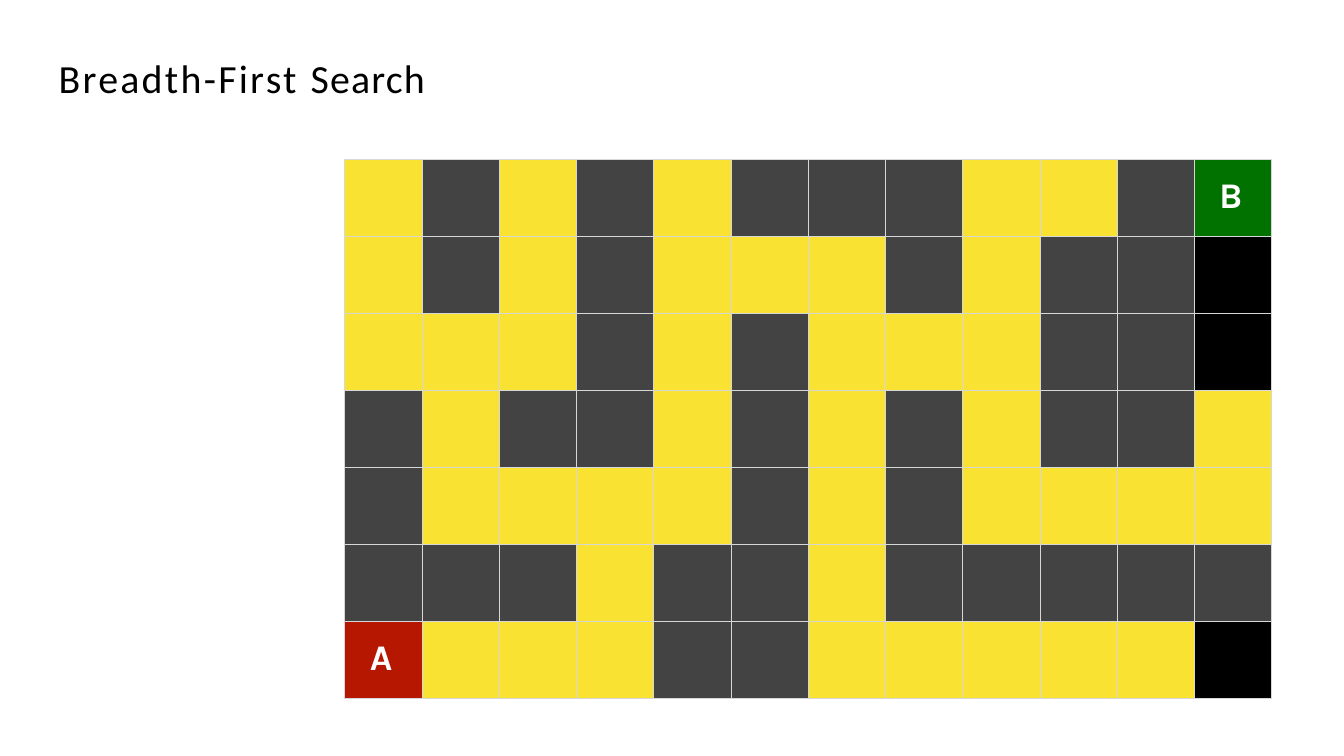
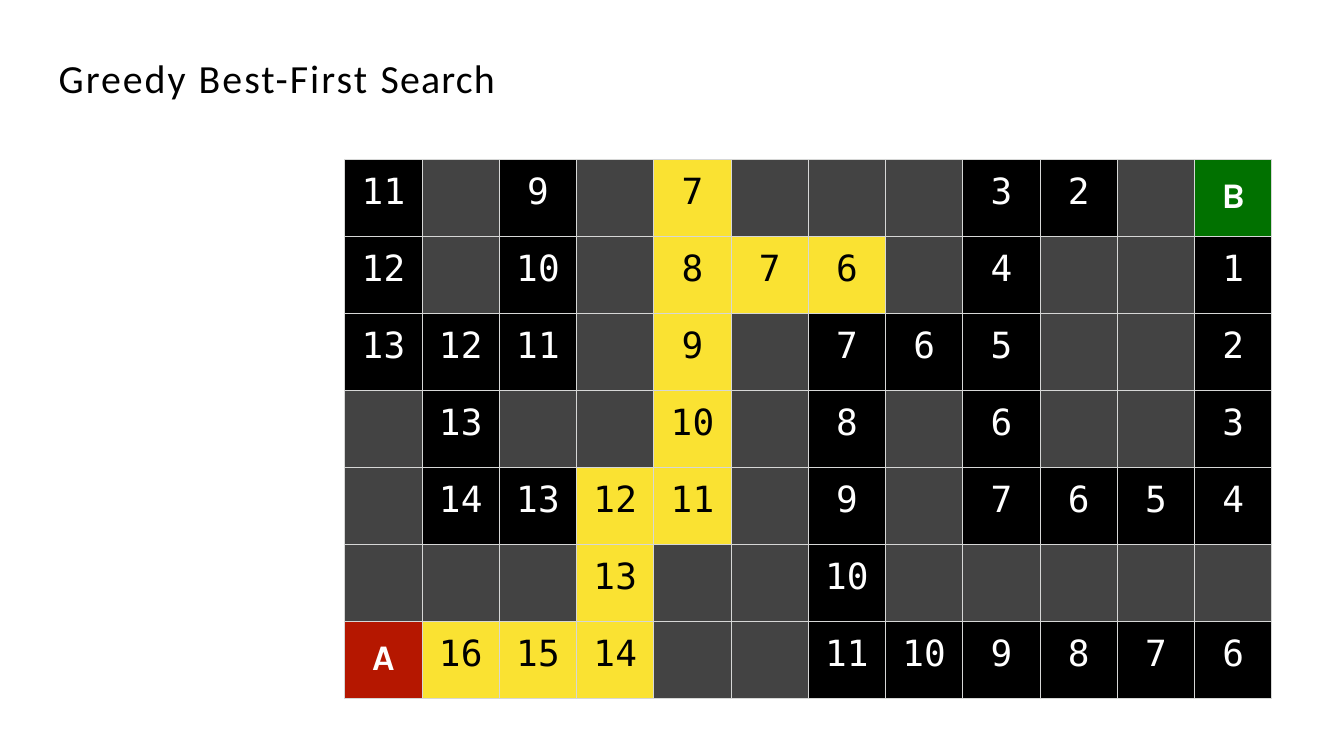
from dataclasses import dataclass

import pptx
import pptx.dml.color
import pptx.enum.text
import pptx.oxml
import pptx.oxml.ns
import pptx.util
from pptx.dml.color import RGBColor
from pptx.util import Cm

WHITE = RGBColor(0xFF, 0xFF, 0xFF)
BLACK = RGBColor(0x00, 0x00, 0x00)
WALL_GRAY = RGBColor(0x43, 0x43, 0x43)
EXPLORED_YELLOW = RGBColor(0xFA, 0xE2, 0x32)
START_RED = RGBColor(0xB5, 0x17, 0x00)
GOAL_GREEN = RGBColor(0x01, 0x71, 0x00)
GRID_LINE = RGBColor(0xD6, 0xD7, 0xD6)

TITLE_FONT = "Calibri"
ENDPOINT_FONT = "Karla"
NUMBER_FONT = "DejaVu Sans Mono"
TITLE_SIZE = 47
CELL_SIZE = 42.5

# "#" is a wall, "." an open cell, A the start and B the goal.
MAZE = (
    ".#.#.###..#B",
    ".#.#...#.##.",
    "...#.#...##.",
    "#.##.#.#.##.",
    "#....#.#....",
    "###.##.#####",
    "A...##......",
)
ROWS, COLUMNS = len(MAZE), len(MAZE[0])
GOAL_ROW, GOAL_COLUMN = 0, COLUMNS - 1
CELL_WIDTH, CELL_HEIGHT = Cm(3.21), Cm(3.2)

Position = tuple[int, int]
OPEN_CELLS = frozenset(
    (row, column)
    for row in range(ROWS)
    for column in range(COLUMNS)
    if MAZE[row][column] == "."
)


@dataclass(frozen=True)
class TitlePart:
    text: str
    spacing: float


@dataclass(frozen=True)
class SearchSlide:
    title: tuple[TitlePart, ...]
    title_width: Cm
    explored: frozenset[Position]
    shows_distance: bool
    endpoint_right_inset: Cm


SEARCHES = (
    SearchSlide(
        title=(TitlePart("Breadth-First ", 2.7), TitlePart("Search", 1.4)),
        title_width=Cm(16.97),
        explored=OPEN_CELLS - {(1, 11), (2, 11), (6, 11)},
        shows_distance=False,
        endpoint_right_inset=Cm(0.2),
    ),
    SearchSlide(
        title=(
            TitlePart("Greedy ", 2.3),
            TitlePart("Best-First ", 2.4),
            TitlePart("Search", 1.4),
        ),
        title_width=Cm(20.5),
        explored=frozenset(
            {(6, 1), (6, 2), (6, 3), (5, 3), (4, 3), (4, 4), (3, 4),
             (2, 4), (1, 4), (0, 4), (1, 5), (1, 6)}
        ),
        shows_distance=True,
        endpoint_right_inset=Cm(0),
    ),
)


def add_run(paragraph, text: str, font_name: str, size: float, color: RGBColor,
            bold: bool = False, spacing: float = 0) -> None:
    """Add a run; spacing is the extra gap between letters in points."""
    run = paragraph.add_run()
    run.text = text
    run.font.name = font_name
    run.font.size = pptx.util.Pt(size)
    run.font.bold = bold
    run.font.color.rgb = color
    if spacing:
        run._r.get_or_add_rPr().set("spc", str(round(spacing * 100)))


def add_title(slide, search: SearchSlide) -> None:
    box = slide.shapes.add_textbox(Cm(2.44), Cm(2.18), search.title_width, Cm(2.06))
    frame = box.text_frame
    frame.word_wrap = True
    frame.auto_size = pptx.enum.text.MSO_AUTO_SIZE.SHAPE_TO_FIT_TEXT
    frame.vertical_anchor = pptx.enum.text.MSO_ANCHOR.MIDDLE
    frame.margin_left = frame.margin_right = frame.margin_top = frame.margin_bottom = 0
    for part in search.title:
        add_run(frame.paragraphs[0], part.text, TITLE_FONT, TITLE_SIZE, BLACK,
                spacing=part.spacing)


def set_borders(cell) -> None:
    properties = cell._tc.get_or_add_tcPr()
    for index, side in enumerate(("lnL", "lnR", "lnT", "lnB")):
        line = pptx.oxml.parse_xml(
            f'<a:{side} {pptx.oxml.ns.nsdecls("a")} w="12700"><a:solidFill>'
            f'<a:srgbClr val="{GRID_LINE}"/></a:solidFill></a:{side}>'
        )
        properties.insert(index, line)


def cell_fill(search: SearchSlide, position: Position) -> RGBColor:
    if position in search.explored:
        return EXPLORED_YELLOW
    row, column = position
    mark_fills = {"#": WALL_GRAY, ".": BLACK, "A": START_RED, "B": GOAL_GREEN}
    return mark_fills[MAZE[row][column]]


def fill_cell(cell, search: SearchSlide, position: Position) -> None:
    row, column = position
    mark = MAZE[row][column]
    cell.fill.solid()
    cell.fill.fore_color.rgb = cell_fill(search, position)
    set_borders(cell)
    cell.margin_left = cell.margin_right = cell.margin_bottom = 0
    paragraph = cell.text_frame.paragraphs[0]
    paragraph.alignment = pptx.enum.text.PP_ALIGN.CENTER
    if mark in "AB":
        cell.margin_top = Cm(0.65)
        cell.margin_right = search.endpoint_right_inset
        add_run(paragraph, mark, ENDPOINT_FONT, CELL_SIZE, WHITE, bold=True)
    elif mark == "." and search.shows_distance:
        cell.margin_top = Cm(0.46)
        distance = abs(row - GOAL_ROW) + abs(column - GOAL_COLUMN)
        add_run(paragraph, str(distance), NUMBER_FONT, CELL_SIZE,
                BLACK if position in search.explored else WHITE,
                spacing=0.2 if distance > 9 else 0)


def add_maze(slide, search: SearchSlide) -> None:
    maze = slide.shapes.add_table(
        ROWS, COLUMNS, Cm(14.33), Cm(6.63), CELL_WIDTH * COLUMNS, CELL_HEIGHT * ROWS
    ).table
    maze.first_row = maze.horz_banding = False
    for column in maze.columns:
        column.width = CELL_WIDTH
    for row in maze.rows:
        row.height = CELL_HEIGHT
    for row in range(ROWS):
        for column in range(COLUMNS):
            fill_cell(maze.cell(row, column), search, (row, column))


def main() -> None:
    presentation = pptx.Presentation()
    presentation.slide_width, presentation.slide_height = Cm(55.85), Cm(31.42)
    blank_layout = presentation.slide_layouts[6]
    for search in SEARCHES:
        slide = presentation.slides.add_slide(blank_layout)
        add_maze(slide, search)
        add_title(slide, search)
    presentation.save("out.pptx")


if __name__ == "__main__":
    main()
